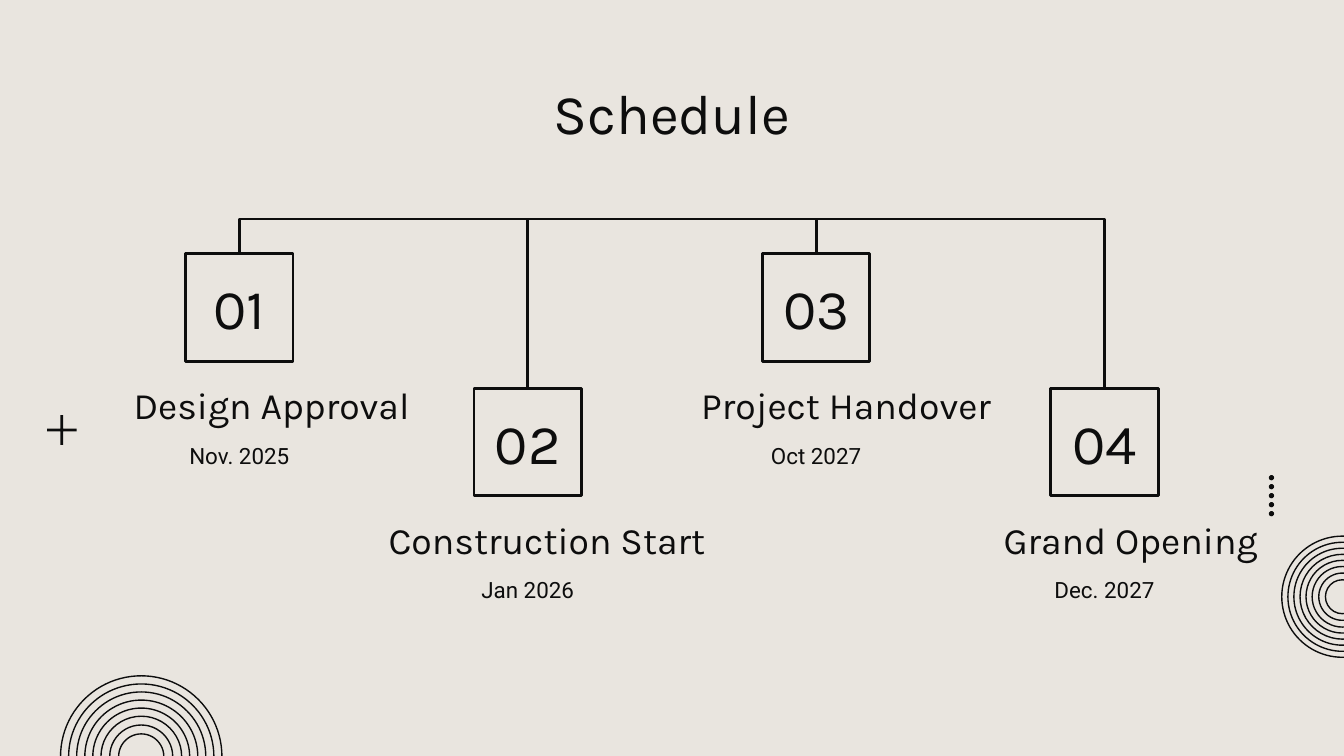
"""Build a schedule slide with four milestones joined by elbow connectors."""
from dataclasses import dataclass
from itertools import pairwise

from lxml.etree import SubElement
from pptx import Presentation
from pptx.dml.color import RGBColor
from pptx.enum.shapes import MSO_CONNECTOR, MSO_SHAPE
from pptx.enum.text import MSO_ANCHOR, PP_ALIGN
from pptx.oxml.ns import qn
from pptx.shapes.autoshape import Shape
from pptx.slide import Slide
from pptx.util import Cm, Pt

INK = RGBColor(0x0D, 0x0D, 0x0D)
PAPER = RGBColor(0xE9, 0xE5, 0xDF)
HEADING_FONT = "Karla"
BODY_FONT = "Roboto"

FIRST_LEFT = 3.51
COLUMN_STEP = 5.45
UPPER_TOP = 4.8
LOWER_TOP = 7.34
BOX_SIZE = 2.03
BRANCH_RISE = 0.66
RING_SCALES = (1, 0.9, 0.8, 0.7, 0.6, 0.5, 0.39, 0.28)


@dataclass(frozen=True)
class Milestone:
    heading: str
    date: str
    heading_left: float
    heading_width: float


@dataclass(frozen=True)
class Rings:
    center_x: float
    center_y: float
    diameter: float


MILESTONES = (
    Milestone("Design Approval", "Nov. 2025", 2.01, 6.25),
    Milestone("Construction Start", "Jan 2026", 6.3, 8.08),
    Milestone("Project Handover", "Oct 2027", 12.67, 6.65),
    Milestone("Grand Opening", "Dec. 2027", 18.36, 6.02),
)
RING_SETS = (Rings(2.67, 14.3, 3.05), Rings(25.37, 11.28, 2.29))


def write_text(shape: Shape, text: str, *, size: float, font: str = HEADING_FONT,
               anchor: MSO_ANCHOR = MSO_ANCHOR.TOP) -> None:
    """Put one centred line of formatted text in a shape."""
    frame = shape.text_frame
    frame.word_wrap = True
    frame.vertical_anchor = anchor
    frame.margin_left = frame.margin_right = Cm(0.25)
    frame.margin_top = frame.margin_bottom = Cm(0.25)
    paragraph = frame.paragraphs[0]
    paragraph.alignment = PP_ALIGN.CENTER
    run = paragraph.add_run()
    run.text = text
    run.font.size = Pt(size)
    run.font.name = font
    run.font.color.rgb = INK


def add_solid(shapes, kind: MSO_SHAPE, left: float, top: float, size: float) -> Shape:
    """Add a filled square-bounded shape without a line."""
    shape = shapes.add_shape(kind, Cm(left), Cm(top), Cm(size), Cm(size))
    shape.shadow.inherit = False
    shape.fill.solid()
    shape.fill.fore_color.rgb = INK
    shape.line.fill.background()
    return shape


def add_outline(shapes, kind: MSO_SHAPE, left: float, top: float, size: float,
                weight: float) -> Shape:
    """Add an unfilled square-bounded shape with a line."""
    shape = shapes.add_shape(kind, Cm(left), Cm(top), Cm(size), Cm(size))
    shape.shadow.inherit = False
    shape.fill.background()
    shape.line.color.rgb = INK
    shape.line.width = Pt(weight)
    return shape


def add_rings(slide: Slide, rings: Rings) -> None:
    """Add a group of concentric circles."""
    group = slide.shapes.add_group_shape()
    for scale in RING_SCALES:
        diameter = rings.diameter * scale
        add_outline(group.shapes, MSO_SHAPE.OVAL, rings.center_x - diameter / 2,
                    rings.center_y - diameter / 2, diameter, 0.75)


def add_decorations(slide: Slide) -> None:
    """Add the plus sign, the rings and the column of dots."""
    plus = add_solid(slide.shapes, MSO_SHAPE.MATH_PLUS, 0.79, 7.75, 0.76)
    plus.adjustments[0] = 0.069
    for rings in RING_SETS:
        add_rings(slide, rings)
    dots = slide.shapes.add_group_shape()
    for row in range(5):
        add_solid(dots.shapes, MSO_SHAPE.OVAL, 23.98, 8.98 + row * 0.17, 0.1)


def add_milestone(slide: Slide, index: int, milestone: Milestone) -> Shape:
    """Add a numbered box with its heading and date, and return the box."""
    left = FIRST_LEFT + index * COLUMN_STEP
    top = LOWER_TOP if index % 2 else UPPER_TOP
    heading = slide.shapes.add_textbox(Cm(milestone.heading_left), Cm(top + 2.26),
                                       Cm(milestone.heading_width), Cm(1.27))
    write_text(heading, milestone.heading, size=20, anchor=MSO_ANCHOR.BOTTOM)
    date = slide.shapes.add_textbox(Cm(left - 1.5), Cm(top + 3.3), Cm(5.03), Cm(1.02))
    write_text(date, milestone.date, size=12, font=BODY_FONT)
    box = add_outline(slide.shapes, MSO_SHAPE.RECTANGLE, left, top, BOX_SIZE, 1.5)
    write_text(box, f"{index + 1:02}", size=30, anchor=MSO_ANCHOR.MIDDLE)
    return box


def add_branch(slide: Slide, start: Shape, end: Shape) -> None:
    """Join the tops of two boxes with an elbow that rises above both."""
    connector = slide.shapes.add_connector(MSO_CONNECTOR.ELBOW, 0, 0, 0, 0)
    connector.begin_connect(start, 0)
    connector.end_connect(end, 0)
    descending = start.top < end.top
    span = end.left - start.left
    drop = abs(end.top - start.top)
    center_x = start.left + start.width // 2 + span // 2
    center_y = (start.top + end.top) // 2
    connector.left, connector.top = center_x - drop // 2, center_y - span // 2
    connector.width, connector.height = drop, span
    connector.line.color.rgb = INK
    connector.line.width = Pt(1.5)

    properties = connector._element.spPr
    transform = properties.find(qn("a:xfrm"))
    transform.attrib.pop("flipV", None)
    transform.set("rot", "16200000")
    transform.set("flipH", str(int(descending)))
    rise = round(Cm(BRANCH_RISE) / drop * 100000)
    adjustments = properties.find(qn("a:prstGeom")).get_or_add_avLst()
    SubElement(adjustments, qn("a:gd"), name="adj1",
               fmla=f"val {-rise if descending else 100000 + rise}")
    SubElement(properties, qn("a:effectLst"))


def main() -> None:
    """Create and save the presentation."""
    presentation = Presentation()
    presentation.slide_width, presentation.slide_height = Cm(25.4), Cm(14.29)
    slide = presentation.slides.add_slide(presentation.slide_layouts[5])
    slide.background.fill.solid()
    slide.background.fill.fore_color.rgb = PAPER
    add_decorations(slide)

    title = slide.shapes.title
    title.left, title.top = Cm(1.98), Cm(1.24)
    title.width, title.height = Cm(21.44), Cm(1.6)
    write_text(title, "Schedule", size=30)

    boxes = [add_milestone(slide, index, milestone)
             for index, milestone in enumerate(MILESTONES)]
    for start, end in pairwise(boxes):
        add_branch(slide, start, end)
    presentation.save("out.pptx")


if __name__ == "__main__":
    main()
